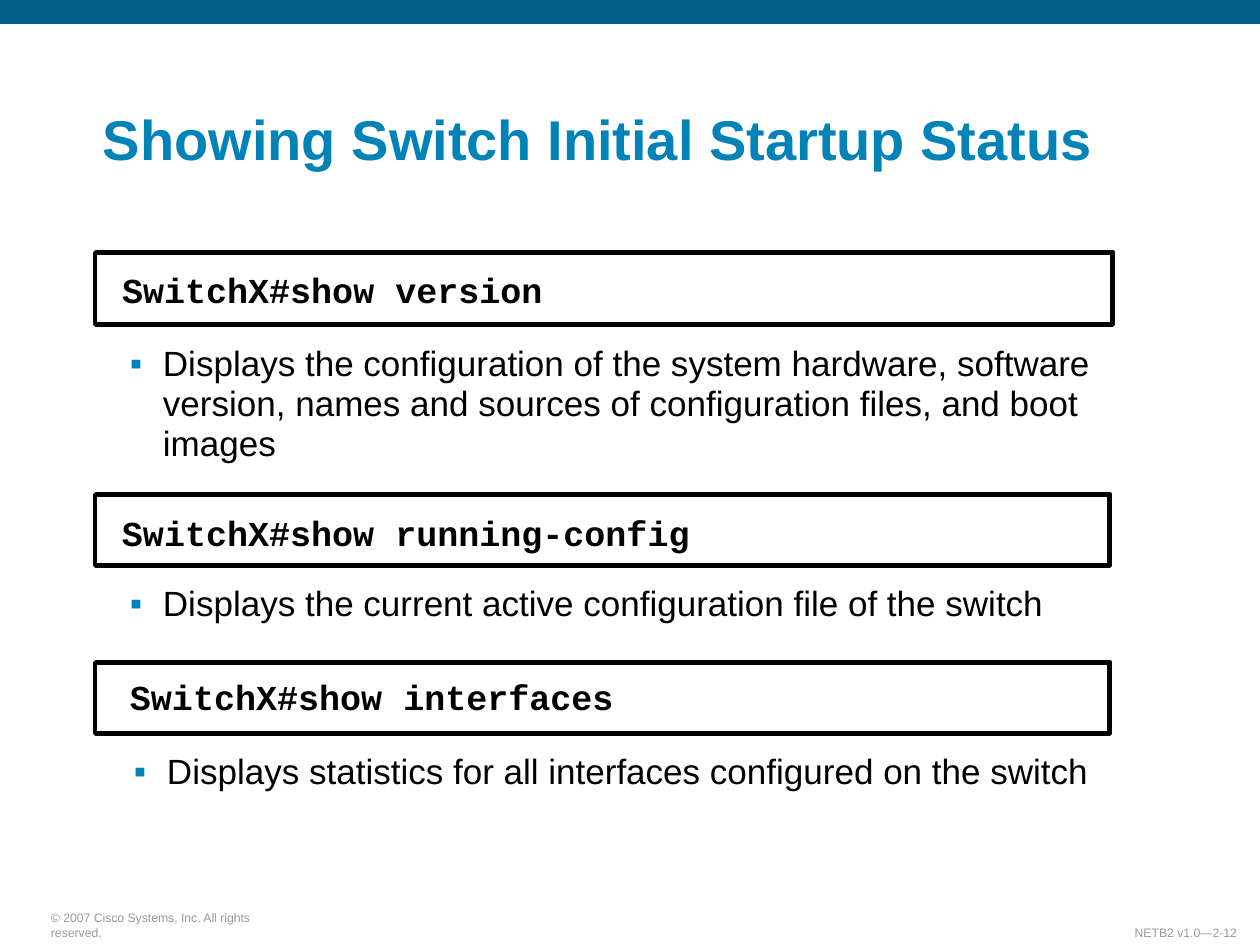
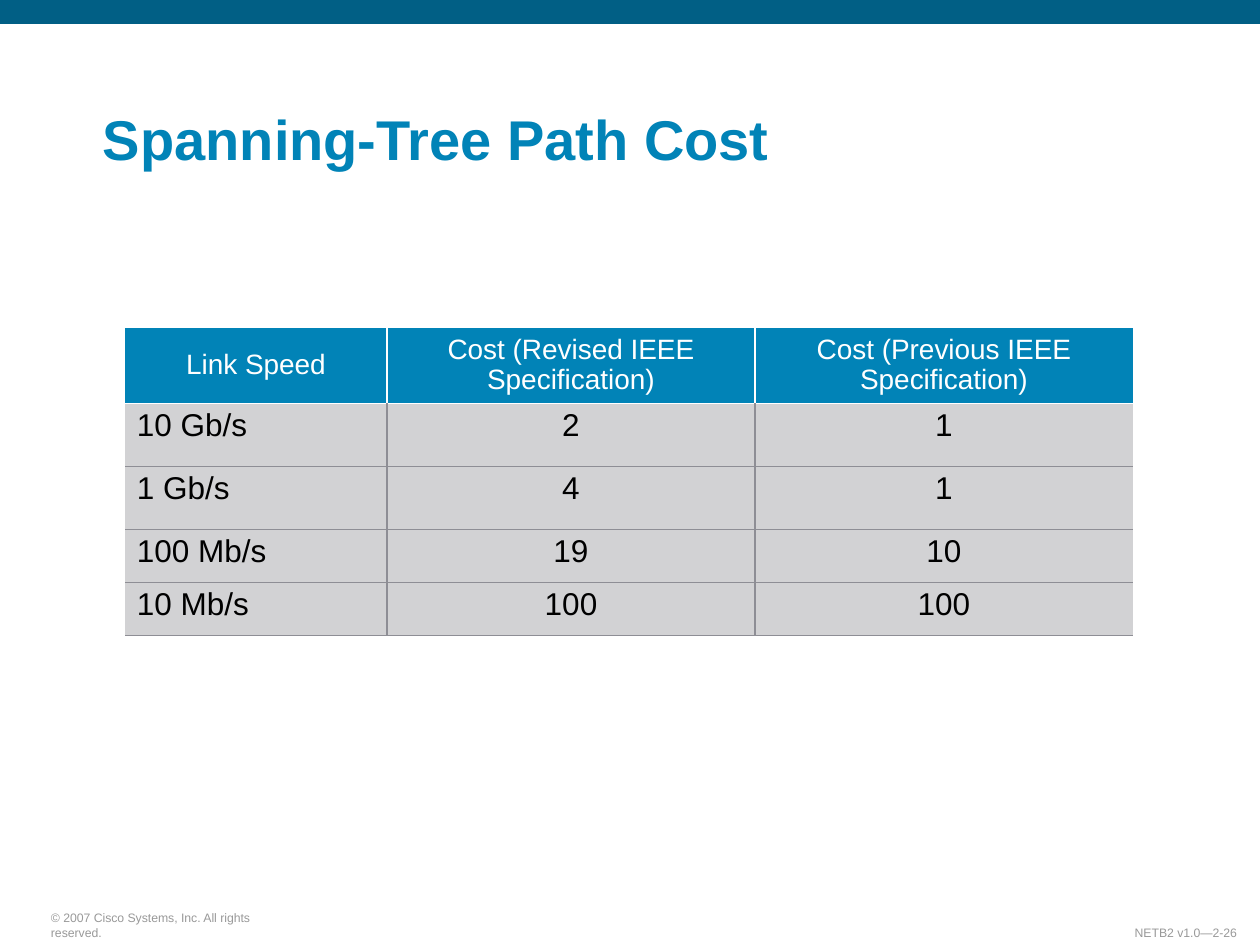
"""Build two training slides: switch status commands and spanning-tree costs."""
import dataclasses

import lxml.etree
import pptx
import pptx.dml.color
import pptx.enum.shapes
import pptx.enum.text
import pptx.oxml.ns
import pptx.util

OWNER = "© 2007 Cisco Systems, Inc. All rights reserved."
STATUS = {
    "title": "Showing Switch Initial Startup Status",
    "code": "NETB2 v1.0—2-12",
    "steps": [
        {"frame": (252, 1017, 73), "prompt": "SwitchX#show version",
         "place": (118, 265, 323, 78), "area": (101, 338, 1072, 134),
         "note": "Displays the configuration of the system hardware, software version, "
                 "names and sources of configuration files, and boot images"},
        {"frame": (494, 1014, 72), "prompt": "SwitchX#show running-config",
         "place": (118, 508, 418, 74), "area": (101, 578, 1072, 54),
         "note": "Displays the current active configuration file of the switch"},
        {"frame": (662, 1014, 72), "prompt": "SwitchX#show interfaces",
         "place": (126, 672, 819, 50), "area": (105, 746, 1072, 54),
         "note": "Displays statistics for all interfaces configured on the switch"},
    ],
}
COST = {
    "title": "Spanning-Tree Path Cost",
    "code": "NETB2 v1.0—2-26",
    "place": (125, 328),
    "widths": [262, 368, 378],
    "heights": [74, 63, 63, 53, 53],
    "rows": [
        ("Link Speed", "Cost (Revised IEEE Specification)", "Cost (Previous IEEE Specification)"),
        ("10 Gb/s", "2", "1"),
        ("1 Gb/s", "4", "1"),
        ("100 Mb/s", "19", "10"),
        ("10 Mb/s", "100", "100"),
    ],
}


@dataclasses.dataclass(frozen=True)
class Theme:
    """Colours, fonts and type sizes."""
    band: str = "015F85"
    blue: str = "0183B7"
    ink: str = "000000"
    paper: str = "FFFFFF"
    cell: str = "D2D2D4"
    rule: str = "8E8E95"
    faint: str = "999999"
    sans: str = "Arial"
    mono: str = "Courier New"
    title: int = 32
    body: int = 20
    data: int = 18
    head: int = 16
    foot: int = 7


LOOK = Theme()
ALIGN = pptx.enum.text.PP_ALIGN
ANCHOR = pptx.enum.text.MSO_ANCHOR
SIZING = pptx.enum.text.MSO_AUTO_SIZE
RECT = pptx.enum.shapes.MSO_SHAPE.RECTANGLE


def px(count):
    """Turn px into EMU."""
    return round(count * 914400 / 126)


def paint(fill, tint):
    """Set a solid fill."""
    fill.solid()
    fill.fore_color.rgb = pptx.dml.color.RGBColor.from_string(tint)


def child(parent, tag, **attrs):
    """Add a drawing element under a parent."""
    return lxml.etree.SubElement(parent, pptx.oxml.ns.qn("a:" + tag), attrs)


def write(frame, text, size, tint, font=LOOK.sans, bold=False, align=ALIGN.LEFT,
          lead=None, after=None, mark=None):
    """Put one formatted paragraph into a text frame."""
    para = frame.paragraphs[0]
    para.alignment = align
    if mark:
        para.level = 1
        props = para._p.get_or_add_pPr()
        props.set("marL", str(px(48)))
        props.set("indent", str(px(-33)))
        child(child(props, "buClr"), "srgbClr", val=LOOK.blue)
        child(props, "buFont", typeface=LOOK.sans)
        child(props, "buChar", char=mark)
    if lead:
        para.line_spacing = lead
    if after:
        para.space_after = pptx.util.Pt(after)
    run = para.add_run()
    run.text = text
    run.font.name = font
    run.font.size = pptx.util.Pt(size)
    run.font.bold = bold
    run.font.color.rgb = pptx.dml.color.RGBColor.from_string(tint)


def inset(item, side, edge):
    """Set the margins of a frame or cell."""
    item.margin_left = item.margin_right = px(side)
    item.margin_top = item.margin_bottom = px(edge)


def label(slide, place, text, pad, wrap=True, grow=False, anchor=ANCHOR.TOP, **form):
    """Add a text box."""
    frame = slide.shapes.add_textbox(*map(px, place)).text_frame
    frame.word_wrap = wrap
    frame.auto_size = SIZING.SHAPE_TO_FIT_TEXT if grow else SIZING.NONE
    frame.vertical_anchor = anchor
    inset(frame, *pad)
    write(frame, text, **form)


def block(shapes, place, tint, edge=None):
    """Add a flat rectangle."""
    shape = shapes.add_shape(RECT, *map(px, place))
    shape.shadow.inherit = False
    paint(shape.fill, tint)
    if edge:
        paint(shape.line.fill, edge)
        shape.line.width = pptx.util.Pt(2.25)
    else:
        shape.line.fill.background()


def begin(deck, data):
    """Add a slide with its band, footers and title."""
    slide = deck.slides.add_slide(deck.slide_layouts[5])
    paint(slide.background.fill, LOOK.paper)
    block(slide.shapes, (0, 0, 1260, 24), LOOK.band)
    for place, text, align in (((39, 920, 277, 26), OWNER, ALIGN.LEFT),
                               ((1085, 920, 164, 26), data["code"], ALIGN.RIGHT)):
        label(slide, place, text, (12, 6), wrap=False, grow=True, anchor=ANCHOR.BOTTOM,
              size=LOOK.foot, tint=LOOK.faint, align=align)
    title = slide.shapes.title
    title.left, title.top, title.width, title.height = map(px, (91, 63, 1123, 116))
    frame = title.text_frame
    frame.auto_size = SIZING.NONE
    frame.vertical_anchor = ANCHOR.BOTTOM
    inset(frame, 12, 6)
    write(frame, data["title"], LOOK.title, LOOK.blue, bold=True, lead=0.9)
    return slide


def status(deck):
    """Draw the framed commands and their notes."""
    slide = begin(deck, STATUS)
    for step in STATUS["steps"]:
        top, width, height = step["frame"]
        group = slide.shapes.add_group_shape()
        for shift in (0, 1):
            place = (96 - shift, top + shift, width, height - 2 * shift)
            block(group.shapes, place, LOOK.paper, LOOK.ink)
        label(slide, step["place"], step["prompt"], (4, 6), wrap=False, size=LOOK.body,
              tint=LOOK.ink, font=LOOK.mono, bold=True, lead=pptx.util.Pt(22.5), after=9)
        label(slide, step["area"], step["note"], (14, 7), grow=True, size=LOOK.body,
              tint=LOOK.ink, lead=0.95, mark="▪")


def border(cell, edges):
    """Draw the cell edges, leaving out those without a colour."""
    props = cell._tc.get_or_add_tcPr()
    for side, tint in zip("LRTB", edges):
        line = child(props, "ln" + side, w=str(pptx.util.Pt(0.75)))
        if tint:
            child(child(line, "solidFill"), "srgbClr", val=tint)
        else:
            child(line, "noFill")


def cost(deck):
    """Draw the cost table."""
    slide = begin(deck, COST)
    rows, widths, heights = COST["rows"], COST["widths"], COST["heights"]
    place = (*COST["place"], sum(widths), sum(heights))
    table = slide.shapes.add_table(len(rows), len(widths), *map(px, place)).table
    table.horz_banding = False
    for col, width in zip(table.columns, widths):
        col.width = px(width)
    for row, height in zip(table.rows, heights):
        row.height = px(height)
    last = len(widths) - 1
    for y, row in enumerate(rows):
        head = y == 0
        side = LOOK.paper if head else LOOK.rule
        above = None if head else LOOK.paper if y == 1 else LOOK.rule
        for x, text in enumerate(row):
            cell = table.cell(y, x)
            inset(cell, 8 if head and x == last else 12, 6)
            cell.vertical_anchor = ANCHOR.MIDDLE if head else ANCHOR.TOP
            border(cell, (side if x else None, side if x < last else None, above, side))
            paint(cell.fill, LOOK.blue if head else LOOK.cell)
            write(cell.text_frame, text, LOOK.head if head else LOOK.data,
                  LOOK.paper if head else LOOK.ink, lead=0.95,
                  align=ALIGN.CENTER if head or x else ALIGN.LEFT)


def main():
    """Build and save the deck."""
    deck = pptx.Presentation()
    deck.slide_width, deck.slide_height = px(1260), px(945)
    status(deck)
    cost(deck)
    deck.save("out.pptx")


if __name__ == "__main__":
    main()
